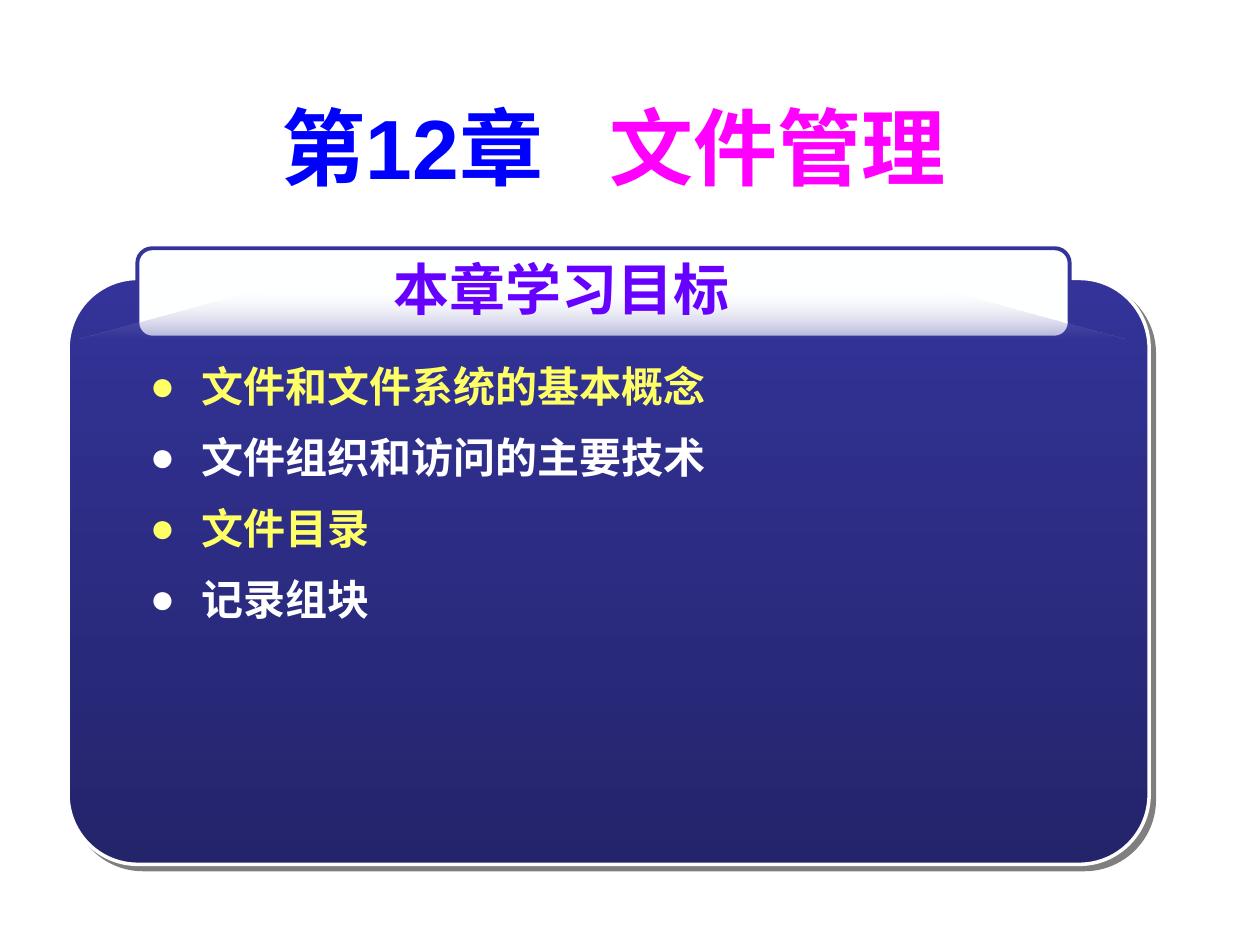
from lxml.etree import SubElement
from pptx import Presentation
from pptx.dml.color import RGBColor
from pptx.enum.shapes import MSO_SHAPE
from pptx.enum.text import MSO_ANCHOR, MSO_AUTO_SIZE, PP_ALIGN
from pptx.oxml import parse_xml
from pptx.oxml.ns import nsdecls, qn
from pptx.util import Inches, Pt

CHAPTER, TOPIC = "第12章", "文件管理"
HEADING = "本章学习目标"
GOALS = ["文件和文件系统的基本概念", "文件组织和访问的主要技术", "文件目录", "记录组块"]

THEME = {
    "font": "Arial",
    "title_size": 48, "heading_size": 32, "goal_size": 24,
    "chapter": "0000FF", "topic": "FF00FF", "heading": "6600FF",
    "goals": ["FFFF66", "FFFFFF"],
    "panel": "333399", "panel_dark": "24246B", "panel_edge": "FEFEFE",
    "tab": "FEFFFF", "sheen": "FFFFFF", "shadow": "000000",
}
TITLE_BOX = (0.62, 0.13, 8.5, 2.4)
PANEL_BOX = (0.54, 2.21, 8.58, 4.65)
TAB_BOX = (1.09, 1.97, 7.4, 0.71)
SHEEN_POINTS = [(0.62, 2.69), (2.08, 2.29), (7.46, 2.29), (8.93, 2.69)]
HEADING_BOX = (1.91, 1.8, 5.1, 0.98)
GOALS_BOX = (1.09, 2.77, 7.45, 2.6)
TITLE_GAP = 27  # extra points after the space between chapter and topic
BULLET_INDENT = Inches(0.41)


def color(name):
    return RGBColor.from_string(THEME.get(name, name))


def place(shape, box):
    shape.left, shape.top, shape.width, shape.height = map(Inches, box)


def style(font, size, color_name):
    font.name, font.size, font.bold = THEME["font"], Pt(THEME[size]), True
    font.color.rgb = color(color_name)


def fill_downward(shape, stops):
    """Fill from top to bottom with two (color name, opacity percent) stops."""
    shape.fill.gradient()
    shape.fill.gradient_angle = 270
    for stop, (name, opacity) in zip(shape.fill.gradient_stops, stops):
        stop.color.rgb = color(name)
        if opacity < 100:
            rgb = shape._element.spPr.find(qn("a:gradFill")).findall(
                ".//" + qn("a:srgbClr"))[-1 if stop.position else 0]
            SubElement(rgb, qn("a:alpha"), val=str(opacity * 1000))


def add_rounded(shapes, box, radius, line_name, line_width):
    shape = shapes.add_shape(MSO_SHAPE.ROUNDED_RECTANGLE, *map(Inches, box))
    shape.adjustments[0] = radius
    shape.shadow.inherit = False
    shape.line.color.rgb = color(line_name)
    shape.line.width = Pt(line_width)
    return shape


def add_panel(slide):
    group = slide.shapes.add_group_shape()
    panel = add_rounded(group.shapes, PANEL_BOX, 0.119, "panel_edge", 2)
    fill_downward(panel, [("panel", 100), ("panel_dark", 100)])
    panel._element.spPr.find(qn("a:effectLst")).append(parse_xml(
        f'<a:outerShdw {nsdecls("a")} dist="{Pt(4.2)}" dir="2700000">'
        f'<a:srgbClr val="{THEME["shadow"]}"><a:alpha val="50000"/></a:srgbClr>'
        '</a:outerShdw>'))

    tab = add_rounded(group.shapes, TAB_BOX, 0.167, "panel", 2.25)
    tab.fill.solid()
    tab.fill.fore_color.rgb = color("tab")

    start, *others = [(Inches(x), Inches(y)) for x, y in SHEEN_POINTS]
    builder = group.shapes.build_freeform(*start)
    builder.add_line_segments(others, close=True)
    sheen = builder.convert_to_shape()
    sheen.shadow.inherit = False
    sheen.line.fill.background()
    fill_downward(sheen, [("sheen", 0), ("panel", 40)])

    # Behind the placeholders
    slide.shapes._spTree.insert(2, group._element)


def fill_title(title):
    place(title, TITLE_BOX)
    frame = title.text_frame
    frame.auto_size = MSO_AUTO_SIZE.NONE
    frame.vertical_anchor = MSO_ANCHOR.MIDDLE
    paragraph = frame.paragraphs[0]
    paragraph.alignment = PP_ALIGN.CENTER
    paragraph.line_spacing = 0.4
    for text, name in [(CHAPTER, "chapter"), (" ", "chapter"), (TOPIC, "topic")]:
        run = paragraph.add_run()
        run.text = text
        style(run.font, "title_size", name)
        if text == " ":
            run.font._element.set("spc", str(TITLE_GAP * 100))


def add_heading(slide):
    frame = slide.shapes.add_textbox(*map(Inches, HEADING_BOX)).text_frame
    frame.word_wrap = True
    frame.vertical_anchor = MSO_ANCHOR.MIDDLE
    frame.text = HEADING
    frame.paragraphs[0].alignment = PP_ALIGN.CENTER
    style(frame.paragraphs[0].runs[0].font, "heading_size", "heading")


def fill_goals(body):
    place(body, GOALS_BOX)
    frame = body.text_frame
    frame.auto_size = MSO_AUTO_SIZE.NONE
    frame.text = "\n".join(GOALS)
    for index, paragraph in enumerate(frame.paragraphs):
        paragraph.line_spacing = 1.1
        paragraph.space_before = Pt(9 if index else 0)
        properties = paragraph._p.get_or_add_pPr()
        properties.set("marL", str(BULLET_INDENT))
        properties.set("indent", str(-BULLET_INDENT))
        SubElement(properties, qn("a:buFont"), typeface=THEME["font"])
        SubElement(properties, qn("a:buChar"), char="●")
        goal_color = THEME["goals"][index % len(THEME["goals"])]
        style(paragraph.runs[0].font, "goal_size", goal_color)


def main():
    presentation = Presentation()
    presentation.slide_width, presentation.slide_height = Inches(10), Inches(7.5)
    slide = presentation.slides.add_slide(presentation.slide_layouts[1])
    add_panel(slide)
    fill_title(slide.shapes.title)
    add_heading(slide)
    fill_goals(slide.placeholders[1])
    presentation.save("out.pptx")


if __name__ == "__main__":
    main()
